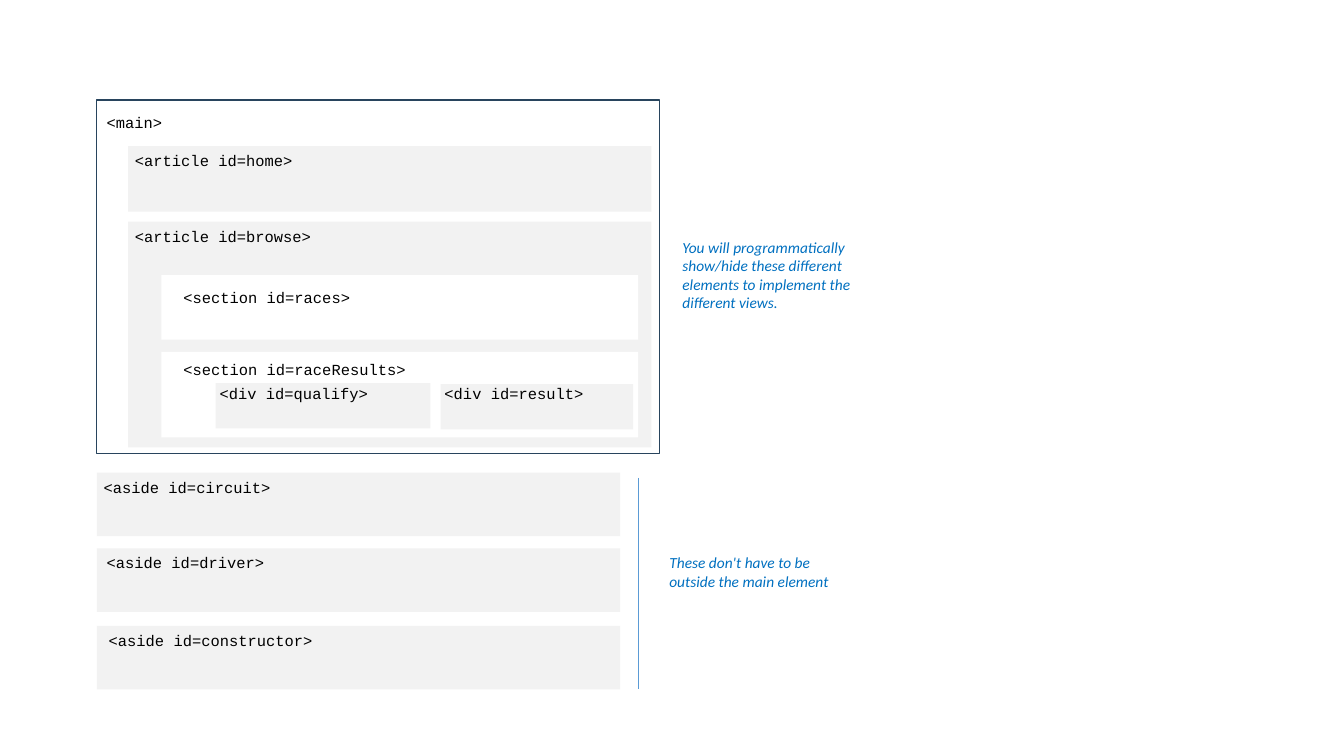
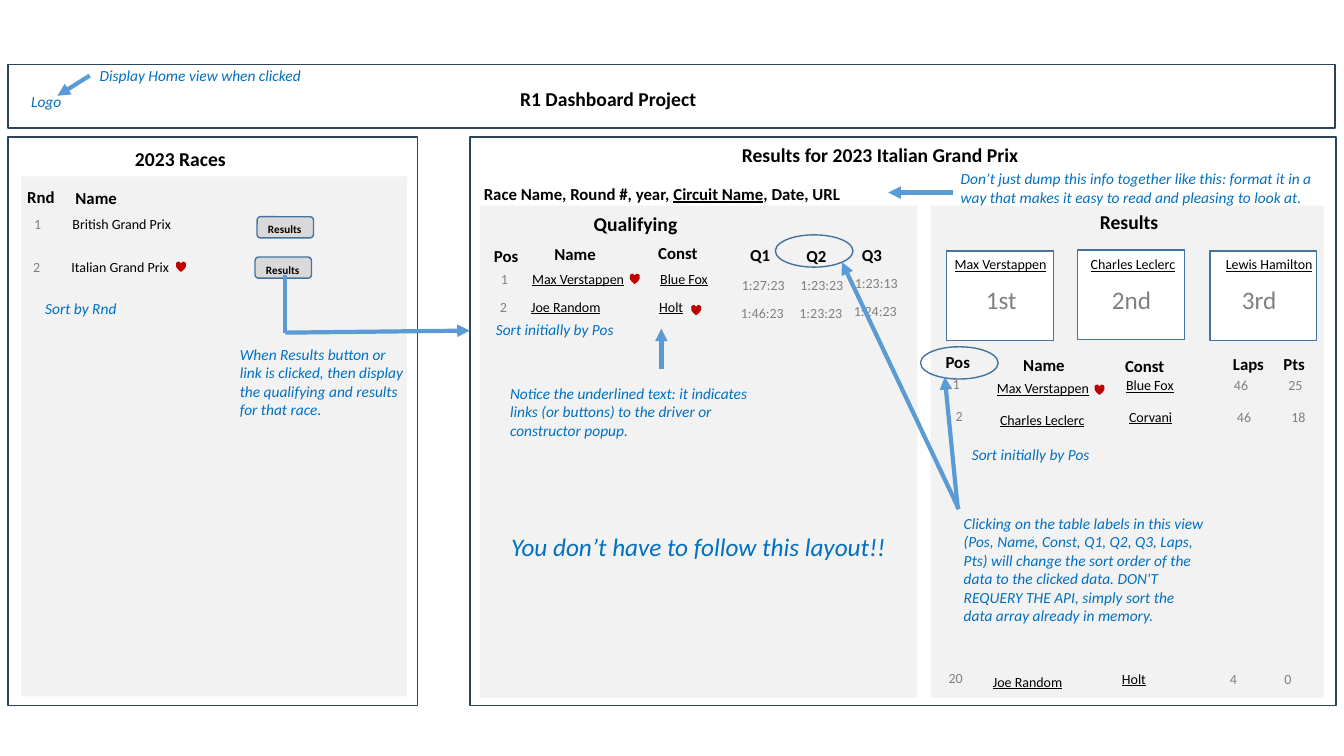
import lxml.etree
import pptx
import pptx.dml.color
import pptx.enum.shapes
import pptx.enum.text
import pptx.oxml.ns
import pptx.util

Inches = pptx.util.Inches
KIND = pptx.enum.shapes.MSO_SHAPE


class Theme:
    """Colours, fonts and text formats of the deck."""
    panel, white, button = "F2F2F2", "FFFFFF", "D9D9D9"
    frame, edge, arrow, heart = "28445D", "43739E", "5B9BD5", "C00000"
    ink, grey, blue = "000000", "808080", "0070C0"
    sans, mono = "Calibri", "Courier New"
    code = dict(size=11, font=mono)
    note = dict(size=11, color=blue, ital=True)
    shout = dict(size=18, color=blue, ital=True)
    title = dict(size=14, bold=True)
    label = dict(size=12, bold=True)
    name = dict(size=10)
    value = dict(size=10, color=grey)
    rank = dict(size=18, color=grey)
    press = dict(size=8, bold=True, wrap=False)


def rgb(code):
    """Turn a hex code into a colour."""
    return pptx.dml.color.RGBColor.from_string(code)


def put(pane, text, x, y, w, lines=1, size=11, font=Theme.sans,
        color=Theme.ink, bold=False, ital=False, wrap=True):
    """Add a text box; words between bars are underlined."""
    high = 0.1 + lines * size * 1.22 / 72
    box = pane.add_textbox(Inches(x), Inches(y), Inches(w), Inches(high))
    frame = box.text_frame
    frame.word_wrap = wrap
    frame.auto_size = pptx.enum.text.MSO_AUTO_SIZE.SHAPE_TO_FIT_TEXT
    for spot, part in enumerate(text.split("|")):
        if part:
            run = frame.paragraphs[0].add_run()
            run.text = part
            face = run.font
            face.name, face.size = font, pptx.util.Pt(size)
            face.bold, face.italic, face.underline = bold, ital, spot % 2 == 1
            face.color.rgb = rgb(color)


def block(pane, x, y, w, h, fill=None, edge=None, kind=KIND.RECTANGLE):
    """Add a preset shape with an optional fill and outline."""
    shape = pane.add_shape(kind, Inches(x), Inches(y), Inches(w), Inches(h))
    shape.shadow.inherit = False
    if fill:
        shape.fill.solid()
        shape.fill.fore_color.rgb = rgb(fill)
    else:
        shape.fill.background()
    if edge:
        shape.line.color.rgb = rgb(edge)
        shape.line.width = pptx.util.Pt(1)
    else:
        shape.line.fill.background()


def rule(pane, start, end, width=3, head=True):
    """Add a straight line, with an arrowhead at its end if wanted."""
    kind = pptx.enum.shapes.MSO_CONNECTOR.STRAIGHT
    line = pane.add_connector(kind, *map(Inches, start + end))
    line.line.color.rgb = rgb(Theme.arrow)
    line.line.width = pptx.util.Pt(width)
    props = line._element.spPr
    name = pptx.oxml.ns.qn
    if head:
        tip = lxml.etree.SubElement(props.find(name("a:ln")), name("a:tailEnd"))
        tip.set("type", "triangle")
    lxml.etree.SubElement(props, name("a:effectLst"))


def tag(pane, text, x, y, w=2.7):
    """Add a line of markup."""
    put(pane, text, x, y, w, **Theme.code)


def note(pane, text, x, y, w, lines=1):
    """Add a blue remark."""
    put(pane, text, x, y, w, lines, **Theme.note)


def heads(pane, cells):
    """Add column labels."""
    for text, x, y in cells:
        put(pane, text, x, y, 0.75, **Theme.label)


def row(pane, x, y, cells, cols):
    """Add a data row whose columns are offset from its corner."""
    for text, (left, down, wide) in zip(cells, cols):
        style = Theme.name if text[0].isalpha() or text[0] == "|" else Theme.value
        put(pane, text, x + left, y + down, wide, **style)


def button(pane, x, y):
    """Add a grouped Results button."""
    group = pane.add_group_shape().shapes
    block(group, x, y, 0.56, 0.21, Theme.button, Theme.edge,
          KIND.ROUNDED_RECTANGLE)
    put(group, "Results", x + 0.01, y + 0.01, 0.54, **Theme.press)


def layout(pane):
    """Draw the nested page elements."""
    block(pane, 0.96, 0.99, 5.58, 3.51, edge=Theme.frame)
    tag(pane, "<main>", 0.96, 1.07)
    for text, y, h in (("home", 1.45, 0.65), ("browse", 2.2, 2.24)):
        block(pane, 1.27, y, 5.19, h, Theme.panel)
        tag(pane, f"<article id={text}>", 1.24, y)
    for text, y, h, down in (("races", 2.73, 0.64, 0.08),
                             ("raceResults", 3.49, 0.85, 0.03)):
        block(pane, 1.6, y, 4.73, h, Theme.white)
        tag(pane, f"<section id={text}>", 1.72, y + down)
    for text, x, y, w in (("qualify", 2.14, 3.8, 2.13),
                          ("result", 4.37, 3.81, 1.91)):
        block(pane, x, y, w, 0.45, Theme.panel)
        tag(pane, f"<div id={text}>", x - 0.06, 3.76, 2.19)
    for text, x, y in (("circuit", 0.93, 4.69), ("driver", 0.96, 5.44),
                       ("constructor", 0.98, 6.21)):
        block(pane, 0.96, y, 5.19, 0.63, Theme.panel)
        tag(pane, f"<aside id={text}>", x, y)
    rule(pane, (6.33, 4.74), (6.33, 6.84), 0.5, False)
    note(pane, "You will programmatically show/hide these different elements "
         "to implement the different views.", 6.67, 2.31, 1.87, 4)
    note(pane, "These don't have to be outside the main element",
         6.54, 5.44, 1.87, 2)


def panels(pane):
    """Draw the panels, frames and titles of the dashboard."""
    for box in ((0.21, 1.75, 3.83, 5.16), (4.76, 2.04, 4.34, 4.88),
                (9.23, 2.04, 3.9, 4.88)):
        block(pane, *box, Theme.panel)
    for box in ((0.08, 0.64, 13.16, 0.63), (0.08, 1.36, 4.06, 5.64),
                (4.66, 1.36, 8.59, 5.64)):
        block(pane, *box, edge=Theme.frame)
    for text, x, y, w in (("R1 Dashboard Project", 5.06, 0.81, 2.64),
                          ("2023 Races", 1.24, 1.41, 1.75),
                          ("Results for 2023 Italian Grand Prix", 7.26, 1.37, 3.23),
                          ("Qualifying", 5.79, 2.05, 1.75),
                          ("Results", 10.81, 2.03, 1.75)):
        put(pane, text, x, y, w, **Theme.title)
    put(pane, "Race Name, Round #, year, |Circuit Name|, Date, URL",
        4.7, 1.77, 4.18, **Theme.label)


def races(pane):
    """Draw the list of races."""
    heads(pane, (("Rnd", 0.17, 1.8), ("Name", 0.65, 1.81)))
    cols = ((0, 0, 0.48), (0.38, 0, 2.11))
    row(pane, 0.24, 2.09, ("1", "British Grand Prix"), cols)
    row(pane, 0.23, 2.52, ("2", "Italian Grand Prix"), cols)
    button(pane, 2.55, 2.15)
    button(pane, 2.53, 2.55)


def qualify(pane):
    """Draw the qualifying table."""
    heads(pane, (("Pos", 4.8, 2.39), ("Name", 5.4, 2.37), ("Const", 6.43, 2.36),
                 ("Q1", 7.34, 2.38), ("Q2", 7.9, 2.39), ("Q3", 8.45, 2.38)))
    cols = ((0, 0, 0.33), (0.31, 0, 1.4), (1.58, 0, 0.74),
            (2.39, 0.06, 0.75), (2.97, 0.06, 0.75), (3.51, 0.04, 0.75))
    row(pane, 4.87, 2.63, ("1", "|Max Verstappen|", "|Blue Fox|",
                           "1:27:23", "1:23:23", "1:23:13"), cols)
    row(pane, 4.86, 2.91, ("2", "|Joe Random|", "|Holt|",
                           "1:46:23", "1:23:23", "1:24:23"), cols)


def results(pane):
    """Draw the podium and the results table."""
    for text, x, y, place, left, name in (
            ("1st", 9.39, 2.49, 9.68, 9.37, "Max Verstappen"),
            ("2nd", 10.69, 2.48, 10.93, 10.72, "Charles Leclerc"),
            ("3rd", 12, 2.49, 12.22, 12.06, "Lewis Hamilton")):
        block(pane, x, y, 1.06, 0.89, Theme.white, Theme.edge)
        put(pane, text, place, 2.77, 0.7, **Theme.rank)
        put(pane, f"|{name}|", left, 2.49, 1.2, **Theme.name)
    heads(pane, (("Pos", 9.28, 3.44), ("Name", 10.05, 3.47),
                 ("Const", 11.06, 3.48), ("Laps", 12.13, 3.46),
                 ("Pts", 12.63, 3.46)))
    cols = ((0, 0, 0.43), (0.44, 0.04, 1.4), (1.72, 0.01, 0.74),
            (2.79, 0.01, 0.4), (3.33, 0.01, 0.4))
    for x, y, cells in (
            (9.35, 3.68, ("1", "|Max Verstappen|", "|Blue Fox|", "46", "25")),
            (9.38, 3.99, ("2", "|Charles Leclerc|", "|Corvani|", "46", "18")),
            (9.31, 6.59, ("20", "|Joe Random|", "|Holt|", "4", "0"))):
        row(pane, x, y, cells, cols)


def marks(pane):
    """Draw the remarks, arrows, rings and hearts."""
    for remark in (
            ("Logo", 0.21, 0.86, 1.36),
            ("Display Home view when clicked", 0.89, 0.61, 2.58),
            ("Sort by Rnd", 0.35, 2.92, 1.83),
            ("Sort initially by Pos", 4.82, 3.13, 1.83),
            ("Sort initially by Pos", 9.54, 4.37, 1.83),
            ("When Results button or link is clicked, then display the "
             "qualifying and results for that race.", 2.28, 3.37, 1.83, 4),
            ("Don’t just dump this info together like this: format it in a way "
             "that makes it easy to read and pleasing to look at.",
             9.43, 1.63, 3.87, 2),
            ("Notice the underlined text: it indicates links (or buttons) to "
             "the driver or constructor popup.", 4.96, 3.76, 2.58, 3),
            ("Clicking on the table labels in this view (Pos, Name, Const, Q1, "
             "Q2, Q3, Laps, Pts) will change the sort order of the data to the "
             "clicked data. DON'T REQUERY THE API, simply sort the data array "
             "already in memory.", 9.46, 5.05, 2.58, 6)):
        note(pane, *remark)
    put(pane, "You don’t have to follow this layout!!", 4.97, 5.22, 3.99,
        **Theme.shout)
    for x, y in ((9.13, 3.44), (7.69, 2.33)):
        block(pane, x, y, 0.77, 0.32, edge=Theme.edge, kind=KIND.OVAL)
    for x, y in ((1.75, 2.6), (6.25, 2.72), (6.86, 3.03), (10.86, 3.82)):
        block(pane, x, y, 0.09, 0.09, Theme.heart, Theme.heart, KIND.HEART)
    rule(pane, (2.83, 2.73), (2.83, 3.3), head=False)
    for start, end in (((2.83, 3.3), (4.66, 3.28)), ((9.45, 1.91), (8.81, 1.91)),
                       ((6.56, 3.66), (6.56, 3.26)), ((0.89, 0.75), (0.57, 0.95)),
                       ((9.5, 5.05), (9.37, 3.74)), ((9.51, 5.05), (8.35, 2.6))):
        rule(pane, start, end)


def main():
    """Build and save the deck."""
    deck = pptx.Presentation()
    deck.slide_width, deck.slide_height = Inches(13.33), Inches(7.5)
    for parts in ((layout,), (panels, races, qualify, results, marks)):
        slide = deck.slides.add_slide(deck.slide_layouts[6])
        for draw in parts:
            draw(slide.shapes)
    deck.save("out.pptx")


if __name__ == "__main__":
    main()
